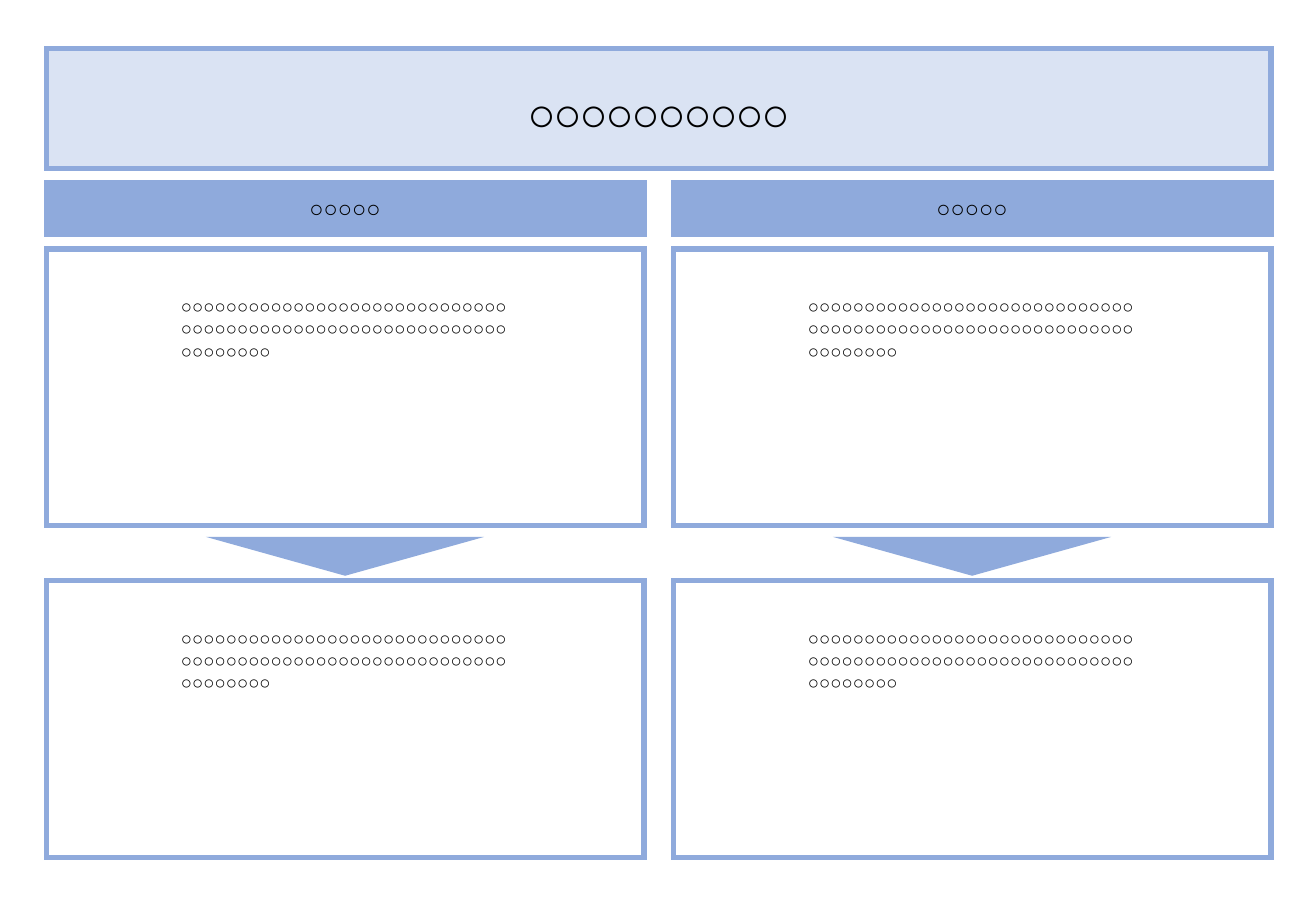
from lxml.etree import SubElement
from pptx import Presentation
from pptx.dml.color import RGBColor
from pptx.enum.shapes import MSO_SHAPE
from pptx.enum.text import MSO_ANCHOR, MSO_AUTO_SIZE, PP_ALIGN
from pptx.oxml.ns import qn
from pptx.util import Inches, Pt

BLUE = RGBColor(0x8F, 0xAA, 0xDC)
PALE = RGBColor(0xDA, 0xE3, 0xF3)
BLACK = RGBColor(0, 0, 0)

TITLE = "○" * 10
HEADING = "○" * 5
BODY = "○" * 66

TITLE_FONT = {"name": "Arial", "size": Pt(28), "bold": True}
HEADING_FONT = {"name": "Arial", "size": Pt(14)}
BODY_FONT = {"name": "Arial", "size": Pt(11)}

MARGIN = 0.38
COLUMN_W, COLUMN_STEP = 4.92, 5.16
HEADING_TOP, HEADING_H = 1.5, 0.43
PANEL_TOPS, PANEL_H = (2.05, 4.78), 2.28
ARROW_TOP, ARROW_W, ARROW_H = 4.42, 2.29, 0.32


def outline(sp):
    """Give the shape a blue border with square corners."""
    sp.line.color.rgb = BLUE
    sp.line.width = Pt(3)
    ln = sp._element.spPr.find(qn("a:ln"))
    SubElement(ln, qn("a:miter"), lim="800000")


def write(tf, text, font, align):
    tf.word_wrap = True
    tf.vertical_anchor = MSO_ANCHOR.TOP
    p = tf.paragraphs[0]
    p.alignment = align
    r = p.add_run()
    r.text = text
    for key, value in font.items():
        setattr(r.font, key, value)
    r.font.color.rgb = BLACK
    return r


def add_block(slide, kind, x, y, w, h, fill=None):
    sp = slide.shapes.add_shape(kind, Inches(x), Inches(y), Inches(w), Inches(h))
    sp.shadow.inherit = False
    if fill is None:
        sp.fill.background()
    else:
        sp.fill.solid()
        sp.fill.fore_color.rgb = fill
    return sp


def add_text(slide, x, y, w, h, text, font, align):
    box = slide.shapes.add_textbox(Inches(x), Inches(y), Inches(w), Inches(h))
    write(box.text_frame, text, font, align)
    box.text_frame.auto_size = MSO_AUTO_SIZE.SHAPE_TO_FIT_TEXT


def add_banner(slide, x, y, w, h):
    sp = slide.shapes.title
    sp.left, sp.top, sp.width, sp.height = (Inches(v) for v in (x, y, w, h))
    sp.fill.solid()
    sp.fill.fore_color.rgb = PALE
    outline(sp)
    tf = sp.text_frame
    tf.auto_size = MSO_AUTO_SIZE.NONE
    r = write(tf, TITLE, TITLE_FONT, PP_ALIGN.CENTER)
    tf.margin_top = Inches(0.29)
    r.font._element.set("spc", "-150")


def add_heading(slide, x, y, w, h):
    outline(add_block(slide, MSO_SHAPE.RECTANGLE, x, y, w, h, BLUE))
    text_w = 1.38
    add_text(slide, x + (w - text_w) / 2, y + 0.05, text_w, 0.34,
             HEADING, HEADING_FONT, PP_ALIGN.CENTER)


def add_panel(slide, x, y, w, h):
    outline(add_block(slide, MSO_SHAPE.RECTANGLE, x, y, w, h))
    text_w = 2.9
    add_text(slide, x + (w - text_w) / 2, y + 0.33, text_w, 0.84,
             BODY, BODY_FONT, PP_ALIGN.JUSTIFY)


def add_down_arrow(slide, x, y, w, h):
    sp = add_block(slide, MSO_SHAPE.ISOSCELES_TRIANGLE, x, y, w, h, BLUE)
    sp.line.fill.background()
    sp.rotation = 180


def add_column(slide, x, w):
    add_heading(slide, x, HEADING_TOP, w, HEADING_H)
    for y in PANEL_TOPS:
        add_panel(slide, x, y, w, PANEL_H)
    add_down_arrow(slide, x + (w - ARROW_W) / 2, ARROW_TOP, ARROW_W, ARROW_H)


def main():
    prs = Presentation()
    prs.slide_width, prs.slide_height = Inches(10.83), Inches(7.5)
    slide = prs.slides.add_slide(prs.slide_layouts[5])
    add_banner(slide, MARGIN, 0.4, COLUMN_STEP + COLUMN_W, 0.99)
    for i in range(2):
        add_column(slide, MARGIN + i * COLUMN_STEP, COLUMN_W)
    prs.save("out.pptx")


if __name__ == "__main__":
    main()
